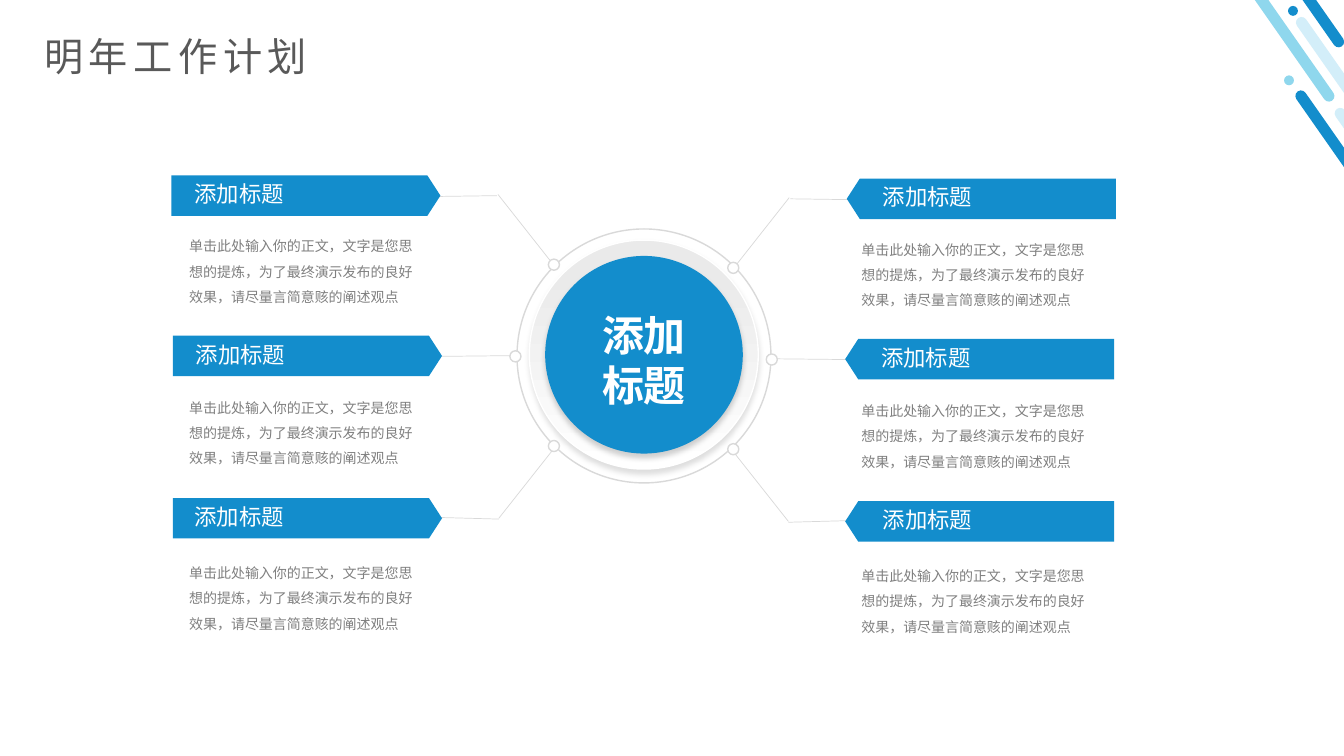
import dataclasses

import pptx
import pptx.dml.color
import pptx.enum.shapes
import pptx.enum.text
import pptx.oxml.ns
import pptx.util
from lxml import etree

Cm = pptx.util.Cm
Pt = pptx.util.Pt
qn = pptx.oxml.ns.qn
Shape = pptx.enum.shapes.MSO_SHAPE
Align = pptx.enum.text.PP_ALIGN


@dataclasses.dataclass(frozen=True)
class Theme:
    font: str = "Noto Sans CJK SC"
    blue: str = "138DCC"
    sky: str = "8FD7ED"
    pale: str = "D3EEF9"
    white: str = "FFFFFF"
    silver: str = "EAEAEA"
    rule: str = "D9D9D9"
    heading: str = "595959"
    body: str = "808080"
    heading_size: int = 28
    center_size: int = 30
    label_size: int = 16
    body_size: int = 10


theme = Theme()
rgb = pptx.dml.color.RGBColor.from_string


def write(box, text, size, color, align=Align.LEFT):
    frame = box.text_frame
    frame.word_wrap = True
    frame.auto_size = pptx.enum.text.MSO_AUTO_SIZE.NONE
    frame.vertical_anchor = pptx.enum.text.MSO_ANCHOR.TOP
    para = frame.paragraphs[0]
    para.text = text
    para.alignment = align
    para.font.name = theme.font
    para.font.size = Pt(size)
    para.font.color.rgb = rgb(color)
    defaults = para._p.pPr.find(qn("a:defRPr"))
    etree.SubElement(defaults, qn("a:ea"), typeface=theme.font)
    return para


def paint(shape, fill=None, line=None, shadow=None):
    shape.shadow.inherit = False
    if fill:
        shape.fill.solid()
        shape.fill.fore_color.rgb = rgb(fill)
    else:
        shape.fill.background()
    if line:
        shape.line.color.rgb = rgb(line)
        shape.line.width = Pt(1)
    else:
        shape.line.fill.background()
    if shadow:
        effects = shape._element.spPr.find(qn("a:effectLst"))
        outer = etree.SubElement(effects, qn("a:outerShdw"), blurRad=str(Pt(4)),
                                 dist=str(Pt(3)), dir="5400000", algn="t", rotWithShape="0")
        color = etree.SubElement(outer, qn("a:srgbClr"), val="000000")
        etree.SubElement(color, qn("a:alpha"), val=str(shadow * 1000))
    return shape


deck = pptx.Presentation()
deck.slide_width = Cm(33.87)
deck.slide_height = Cm(19.05)
page = deck.slides.add_slide(deck.slide_layouts[5])
shapes = page.shapes

title = shapes.title
title.left, title.top, title.width, title.height = Cm(0.86), Cm(0.69), Cm(33), Cm(1.45)
heading = write(title, "明年工作计划", theme.heading_size, theme.heading)
heading._p.pPr.find(qn("a:defRPr")).set("spc", "400")

stripes = [
    (34.16, 1.8, 5.56, theme.blue),
    (35.15, 2.24, 5.56, theme.pale),
    (31.42, -3.84, 7.01, theme.sky),
    (34.59, -0.18, 7.01, theme.pale),
    (32.08, -3.89, 5.56, theme.blue),
]
for left, top, length, color in stripes:
    stripe = shapes.add_shape(Shape.ROUNDED_RECTANGLE, Cm(left), Cm(top), Cm(0.28), Cm(length))
    stripe.adjustments[0] = 0.5
    stripe.rotation = 325
    paint(stripe, theme.pale if color == theme.pale else color)

for left, top, color in [(32.36, 1.9, theme.sky), (32.46, 0.15, theme.blue)]:
    paint(shapes.add_shape(Shape.OVAL, Cm(left), Cm(top), Cm(0.25), Cm(0.25)), color)

discs = [
    (13.03, 5.77, 6.4, None, theme.rule, None),
    (13.34, 6.05, 5.77, theme.white, theme.white, 13),
    (13.74, 6.45, 4.98, theme.blue, None, 18),
]
for left, top, size, fill, line, shadow in discs:
    disc = shapes.add_shape(Shape.OVAL, Cm(left), Cm(top), Cm(size), Cm(size))
    paint(disc, fill, line, shadow)
    if fill == theme.white:
        disc.fill.gradient()
        disc.fill.gradient_angle = 270
        for stop, position, color in zip(disc.fill.gradient_stops, (0.14, 1), (theme.silver, theme.white)):
            stop.position = position
            stop.color.rgb = rgb(color)

axis = 16.22
banner_height = 1.02
dot_size = 0.28
label_text = "添加标题"
body_text = "单击此处输入你的正文，文字是您思想的提炼，为了最终演示发布的良好效果，请尽量言简意赅的阐述观点"
sides = [(1, 0, 4.65, 4.52), (-1, 0.08, 22, 21.46)]
rows = [
    (4.42, 0, 0, 5.66, (13.96, 6.67),
     [((13.97, 6.7), (12.55, 4.9)), ((12.52, 4.93), (11.07, 4.95))]),
    (8.46, 0.04, 0.04, 9.73, (12.99, 8.98),
     [((13.03, 8.96), (11.1, 8.98))]),
    (12.55, 0.04, 0, 13.89, (13.96, 11.24),
     [((14, 11.25), (12.57, 13.06)), ((12.57, 13.08), (11.1, 13.04))]),
]

for side, drop, label_left, body_left in sides:
    for top, shift, nudge, body_top, dot, segments in rows:
        for start, end in segments:
            ends = [Cm(value) for x, y in (start, end)
                    for value in (axis + side * (x - axis), y + drop)]
            wire = shapes.add_connector(pptx.enum.shapes.MSO_CONNECTOR.STRAIGHT, *ends)
            wire.line.color.rgb = rgb(theme.rule)
            wire.line.width = Pt(0.5)
            etree.SubElement(wire._element.spPr, qn("a:effectLst"))

        outline = [(4.32, 0), (10.77, 0), (11.1, banner_height / 2),
                   (10.77, banner_height), (4.32, banner_height)]
        points = [(Cm(axis + side * (x + shift - axis)), Cm(top + drop + y)) for x, y in outline]
        builder = shapes.build_freeform(*points[0])
        builder.add_line_segments(points[1:])
        paint(builder.convert_to_shape(), theme.blue)

        dot_left = axis + side * (dot[0] - axis) - dot_size / 2
        dot_top = dot[1] + drop - dot_size / 2
        paint(shapes.add_shape(Shape.OVAL, Cm(dot_left), Cm(dot_top), Cm(dot_size), Cm(dot_size)),
              theme.white, theme.rule)

        label = shapes.add_textbox(Cm(label_left + side * nudge), Cm(top + drop), Cm(5.79), Cm(0.94))
        write(label, label_text, theme.label_size, theme.white)

        body = shapes.add_textbox(Cm(body_left), Cm(body_top + drop), Cm(6.45), Cm(1.91))
        para = write(body, body_text, theme.body_size, theme.body)
        para.line_spacing = 1.5
        para.space_before = Pt(13.3)

center = shapes.add_textbox(Cm(14.53), Cm(7.67), Cm(3.4), Cm(2.82))
write(center, label_text, theme.center_size, theme.white, Align.CENTER).font.bold = True

deck.save("out.pptx")
